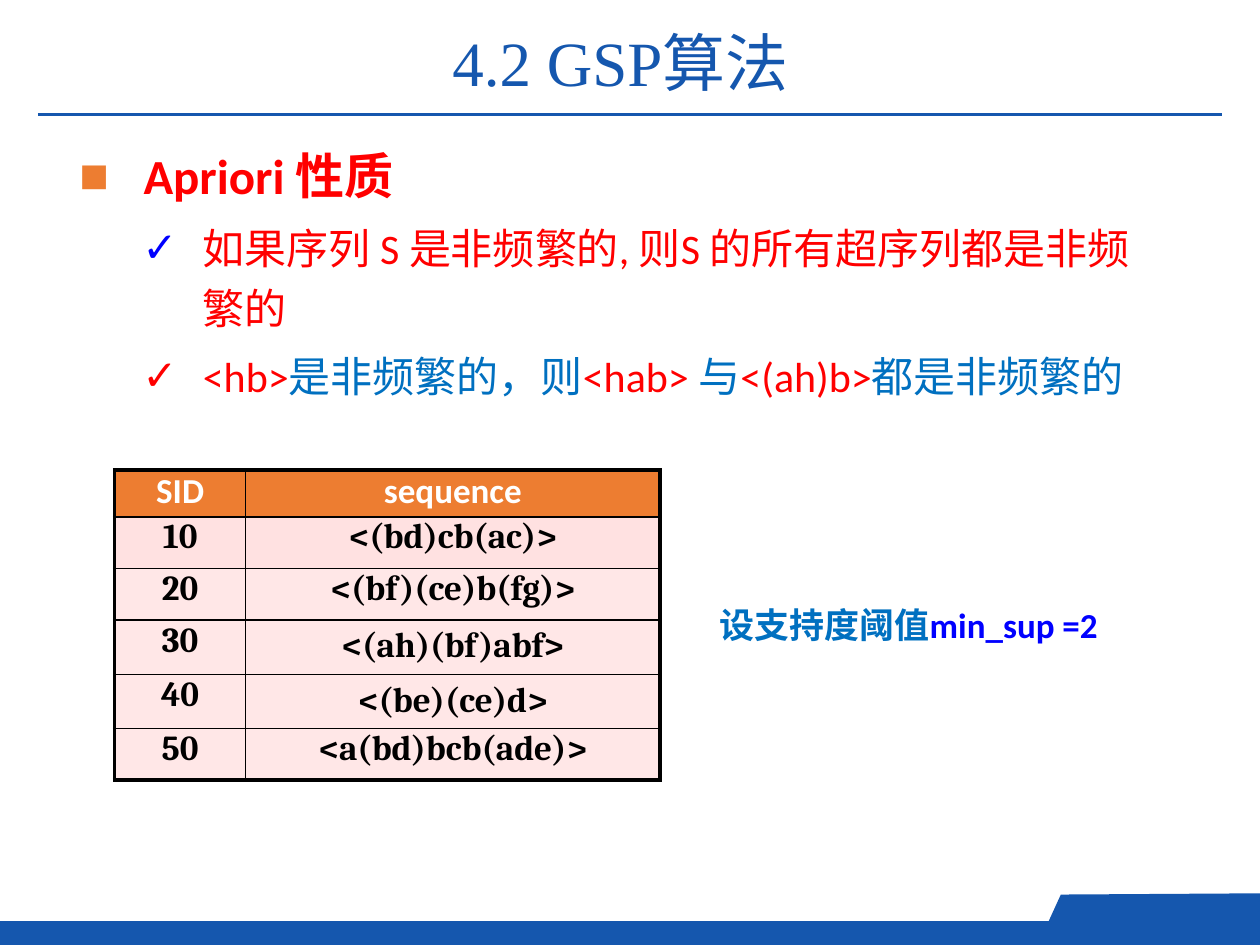
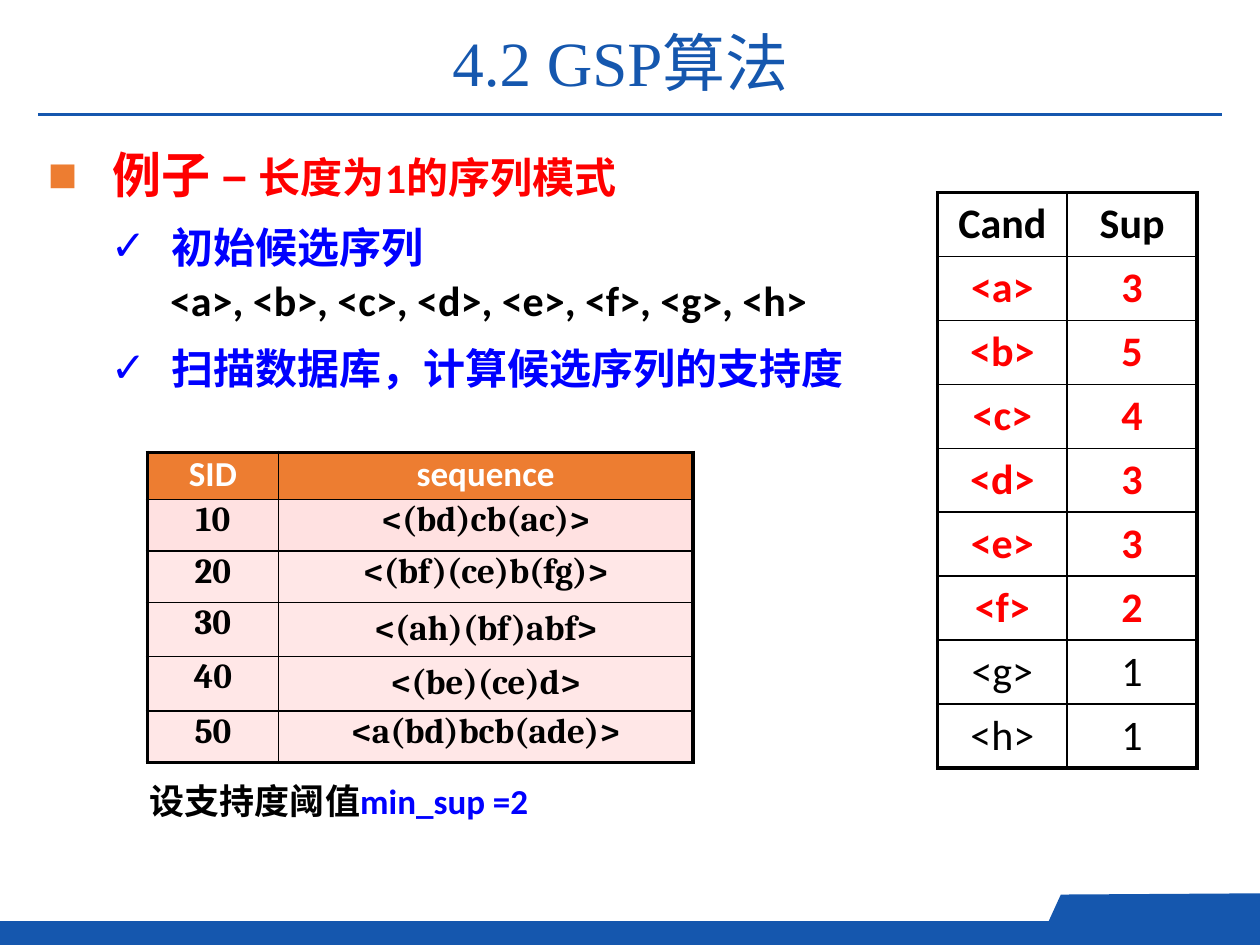
from lxml import etree
from pptx import Presentation
from pptx import util as u
from pptx.dml.color import RGBColor
from pptx.enum import shapes, text
from pptx.oxml import ns

COLORS = {
    "brand": "1557AE",
    "orange": "ED7D31",
    "red": "FF0000",
    "blue": "0000FF",
    "sky": "0070C0",
    "black": "000000",
    "white": "FFFFFF",
    "first_row": "FFE1E1",
    "row": "FFE7E7",
}
LATIN_FONT = "Calibri"
CHINESE_FONT = "Noto Sans CJK SC"
TITLE = "4.2 GSP算法"
SEQUENCES = [
    ("10", "<(bd)cb(ac)>"),
    ("20", "<(bf)(ce)b(fg)>"),
    ("30", "<(ah)(bf)abf>"),
    ("40", "<(be)(ce)d>"),
    ("50", "<a(bd)bcb(ade)>"),
]
LOOSE_SEQUENCES = ("<(ah)(bf)abf>", "<(be)(ce)d>")
SUPPORTS = {"<a>": 3, "<b>": 5, "<c>": 4, "<d>": 3, "<e>": 3, "<f>": 2, "<g>": 1, "<h>": 1}
MIN_SUPPORT = 2


def rgb(color):
    return RGBColor.from_string(COLORS[color])


def add_element(parent, tag, **attributes):
    return etree.SubElement(parent, ns.qn(tag), attributes)


def write_text(paragraph, content, size=24, color="black", bold=False, font=LATIN_FONT):
    run = paragraph.add_run()
    run.text = content
    run.font.size = u.Pt(size)
    run.font.bold = bold
    run.font.color.rgb = rgb(color)
    run.font.name = font
    add_element(run.font._element, "a:ea", typeface=CHINESE_FONT)


def place(shape, left, top, width, height):
    shape.left, shape.top = u.Inches(left), u.Inches(top)
    shape.width, shape.height = u.Inches(width), u.Inches(height)


def paint(shape, color):
    shape.shadow.inherit = False
    shape.fill.solid()
    shape.fill.fore_color.rgb = rgb(color)
    shape.line.fill.background()


def add_frame(slide):
    band = slide.shapes.add_shape(
        shapes.MSO_SHAPE.FLOWCHART_PROCESS,
        u.Inches(0), u.Inches(7.31), u.Inches(10), u.Inches(0.19))
    paint(band, "brand")

    corners = [(u.Inches(x), u.Inches(y))
               for x, y in ((10, 7.45), (10, 7.09), (8.42, 7.1), (8.26, 7.45))]
    builder = slide.shapes.build_freeform(*corners[0])
    builder.add_line_segments(corners[1:], close=True)
    paint(builder.convert_to_shape(), "brand")

    rule = slide.shapes.add_connector(
        shapes.MSO_CONNECTOR.STRAIGHT,
        u.Inches(0.3), u.Inches(0.91), u.Inches(9.7), u.Inches(0.91))
    rule.line.color.rgb = rgb("brand")
    rule.line.width = u.Pt(1.5)
    add_element(rule._element.spPr, "a:effectLst")


def add_title(slide):
    title = slide.shapes.title
    place(title, 0.91, 0.13, 8.03, 0.71)
    paragraph = title.text_frame.paragraphs[0]
    paragraph.alignment = text.PP_ALIGN.CENTER
    write_text(paragraph, TITLE, size=36, color="brand", font="Times New Roman")


def format_item(paragraph, bullet=None, bullet_color="blue", level=1,
                margin=0.98, indent=-0.48, line_spacing=1.2, space_before=4):
    paragraph.level = level
    paragraph.line_spacing = line_spacing
    paragraph.space_before = u.Pt(space_before)
    properties = paragraph._p.get_or_add_pPr()
    properties.set("marL", str(u.Inches(margin)))
    properties.set("indent", str(u.Inches(indent)))
    if bullet:
        color = add_element(properties, "a:buClr")
        add_element(color, "a:srgbClr", val=COLORS[bullet_color])
        add_element(properties, "a:buChar", char=bullet)
    else:
        add_element(properties, "a:buNone")


HEADING = dict(bullet="■", bullet_color="orange", level=0, margin=0.51, indent=-0.51,
               line_spacing=0.9, space_before=5.6)
CHECK = dict(bullet="✓")
RED_CHECK = dict(bullet="✓", bullet_color="red")
PLAIN = dict(margin=0.97, indent=0, line_spacing=0.9, space_before=4.8)


def add_body(slide, box, items):
    body = slide.placeholders[1]
    place(body, *box)
    frame = body.text_frame
    frame.auto_size = text.MSO_AUTO_SIZE.NONE
    for index, (layout, runs) in enumerate(items):
        paragraph = frame.add_paragraph() if index else frame.paragraphs[0]
        format_item(paragraph, **layout)
        for content, style in runs:
            write_text(paragraph, content, **style)


def set_borders(cell, outer_sides):
    properties = cell._tc.get_or_add_tcPr()
    for position, side in enumerate("LRTB"):
        width = u.Pt(2.25 if side in outer_sides else 1)
        line = etree.Element(ns.qn(f"a:ln{side}"), w=str(width))
        fill = add_element(line, "a:solidFill")
        add_element(fill, "a:srgbClr", val=COLORS["black"])
        properties.insert(position, line)


def add_grid(slide, left, top, column_widths, row_heights, rows, style_cell):
    table = slide.shapes.add_table(
        len(rows), len(column_widths), u.Inches(left), u.Inches(top),
        u.Inches(sum(column_widths)), u.Inches(sum(row_heights))).table
    table.first_row = table.horz_banding = False
    for column, width in zip(table.columns, column_widths):
        column.width = u.Inches(width)
    for row, height in zip(table.rows, row_heights):
        row.height = u.Inches(height)
    last_row, last_column = len(rows) - 1, len(column_widths) - 1
    for row_index, values in enumerate(rows):
        for column_index, value in enumerate(values):
            cell = table.cell(row_index, column_index)
            fill, line_spacing, style = style_cell(row_index, values, value)
            if fill:
                cell.fill.solid()
                cell.fill.fore_color.rgb = rgb(fill)
            else:
                cell.fill.background()
            edges = {"L": column_index == 0, "R": column_index == last_column,
                     "T": row_index == 0, "B": row_index == last_row}
            set_borders(cell, [side for side, outer in edges.items() if outer])
            paragraph = cell.text_frame.paragraphs[0]
            paragraph.alignment = text.PP_ALIGN.CENTER
            paragraph.line_spacing = line_spacing
            write_text(paragraph, str(value), **style)


def style_sequence(row_index, values, value):
    if row_index == 0:
        return "orange", 0.8, dict(size=20, color="white", bold=True)
    fill = "first_row" if row_index == 1 else "row"
    line_spacing = 1.0 if value in LOOSE_SEQUENCES else 0.8
    return fill, line_spacing, dict(size=20, bold=True, font="Cambria")


def style_support(row_index, values, value):
    if row_index == 0:
        return None, 1.0, dict(bold=True)
    frequent = values[1] >= MIN_SUPPORT
    return None, 1.0, dict(color="red" if frequent else "black", bold=frequent)


def add_sequence_table(slide, left, top):
    add_grid(slide, left, top, [1.04, 3.29], [0.37, 0.41, 0.41, 0.43, 0.43, 0.41],
             [("SID", "sequence"), *SEQUENCES], style_sequence)


def add_support_table(slide, left, top):
    rows = [("Cand", "Sup"), *SUPPORTS.items()]
    add_grid(slide, left, top, [1.03, 1.03], [0.5] * len(rows), rows, style_support)


def add_threshold(slide, left, top, label_color):
    box = slide.shapes.add_textbox(u.Inches(left), u.Inches(top), u.Inches(4.39), u.Inches(0.44))
    box.text_frame.word_wrap = True
    paragraph = box.text_frame.paragraphs[0]
    write_text(paragraph, "设支持度阈值", size=20, color=label_color, bold=True)
    write_text(paragraph, f"min_sup ={MIN_SUPPORT}", size=20, color="blue", bold=True)


def add_content_slide(presentation, body_box, items):
    slide = presentation.slides.add_slide(presentation.slide_layouts[1])
    add_frame(slide)
    add_title(slide)
    add_body(slide, body_box, items)
    return slide


def main():
    presentation = Presentation()
    presentation.slide_width = u.Inches(10)
    presentation.slide_height = u.Inches(7.5)

    heading = dict(size=28, color="red", bold=True)
    red, sky = dict(color="red"), dict(color="sky")
    blue_bold = dict(color="blue", bold=True)

    slide = add_content_slide(presentation, (0.53, 1.16, 8.78, 5.18), [
        (HEADING, [("Apriori ", heading), ("性质", heading)]),
        (CHECK, [("如果序列 S 是非频繁的, 则S 的所有超序列都是非频繁的", red)]),
        (RED_CHECK, [("<hb>", red), ("是非频繁的，则", sky), ("<hab> ", red),
                     ("与", sky), ("<(ah)b>", red), ("都是非频繁的", sky)]),
    ])
    add_sequence_table(slide, 0.91, 3.73)
    add_threshold(slide, 5.61, 4.74, "sky")

    slide = add_content_slide(presentation, (0.28, 1.15, 6.91, 2.94), [
        (HEADING, [("例子 – ", heading), ("长度为1的序列模式", dict(color="red", bold=True))]),
        (CHECK, [("初始候选序列", blue_bold)]),
        (PLAIN, [(", ".join(SUPPORTS), dict(bold=True))]),
        (CHECK, [("扫描数据库，计算候选序列的支持度", blue_bold)]),
    ])
    add_support_table(slide, 7.44, 1.53)
    add_sequence_table(slide, 1.17, 3.59)
    add_threshold(slide, 1.09, 6.14, "black")

    presentation.save("out.pptx")


if __name__ == "__main__":
    main()
